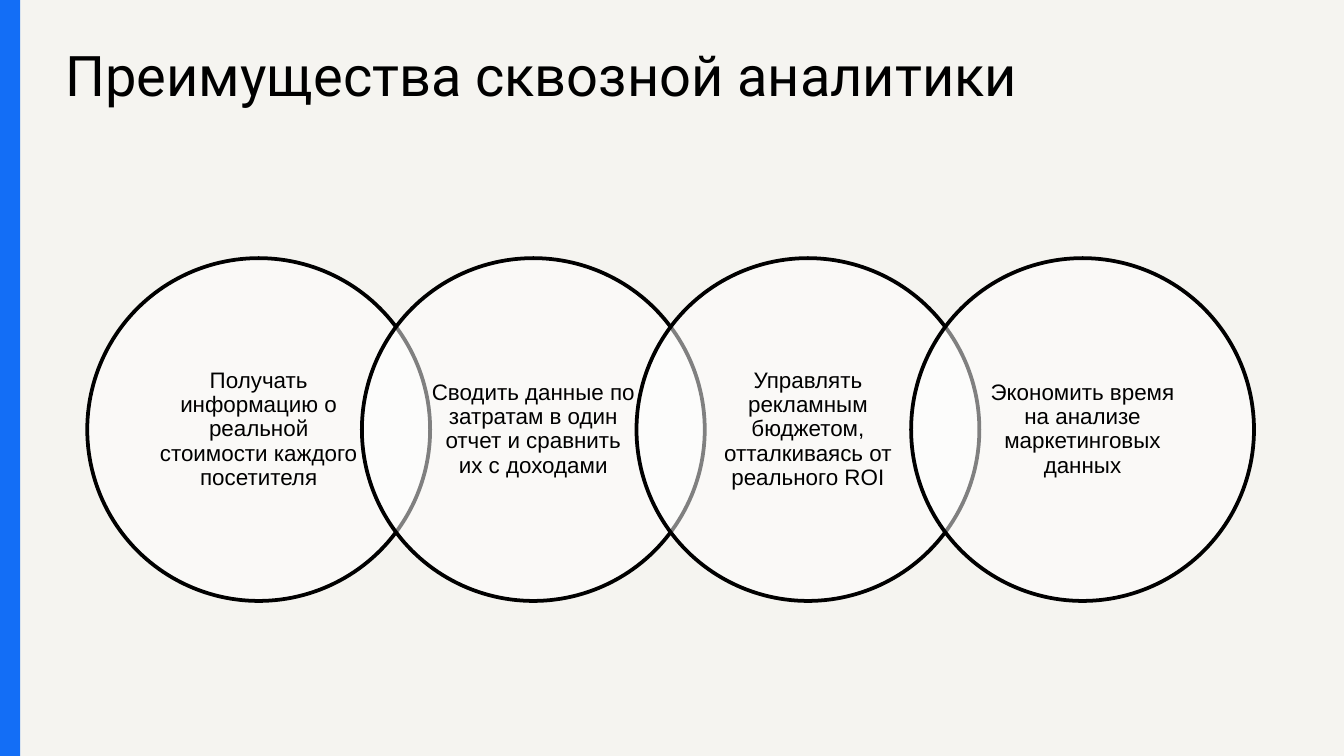
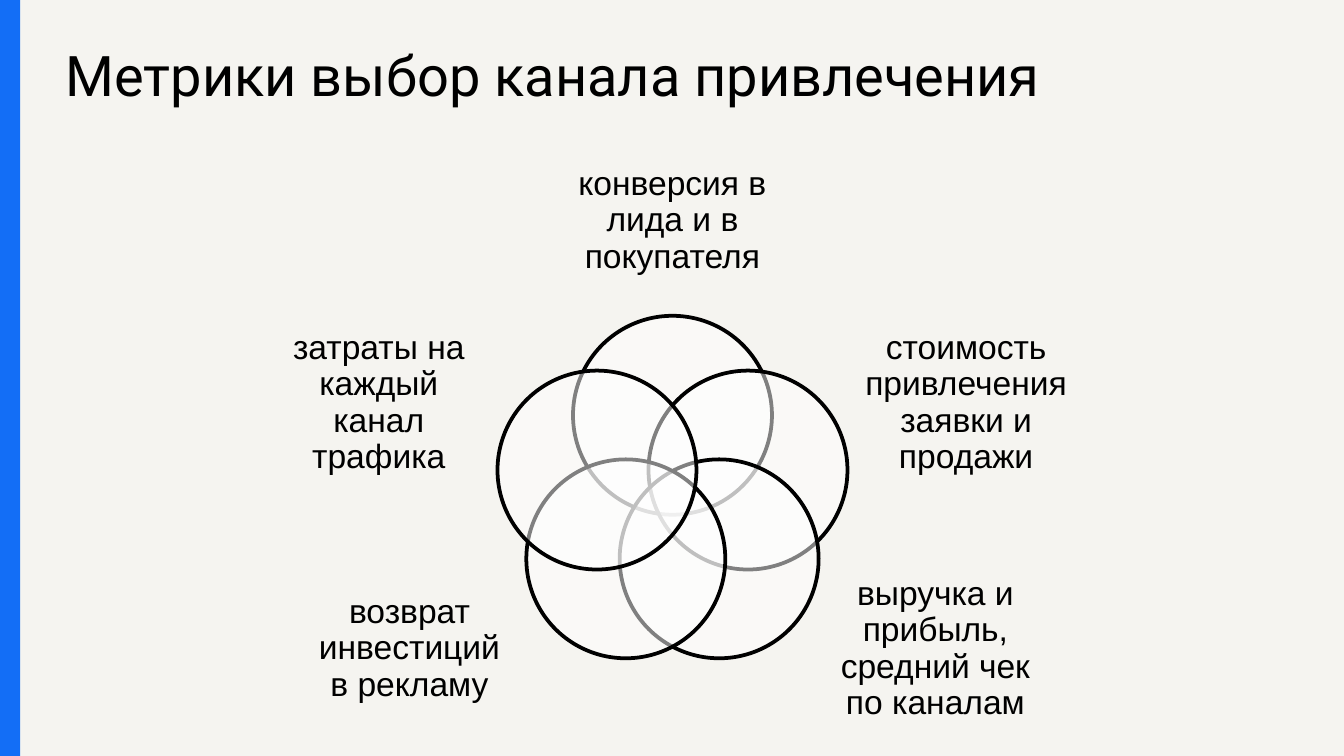
from math import cos, radians, sin

from lxml import etree
from pptx import Presentation
from pptx.dml.color import RGBColor
from pptx.enum.shapes import MSO_SHAPE
from pptx.enum.text import MSO_ANCHOR, MSO_AUTO_SIZE, PP_ALIGN
from pptx.oxml.ns import qn
from pptx.util import Cm, Pt

OVAL, RECTANGLE = MSO_SHAPE.OVAL, MSO_SHAPE.RECTANGLE
TOP, MIDDLE = MSO_ANCHOR.TOP, MSO_ANCHOR.MIDDLE
LEFT, CENTER = PP_ALIGN.LEFT, PP_ALIGN.CENTER
NO_AUTOFIT = MSO_AUTO_SIZE.NONE

PAPER = RGBColor(0xF5, 0xF4, 0xF0)
BLUE = RGBColor(0x13, 0x6E, 0xF6)
WHITE = RGBColor(0xFF, 0xFF, 0xFF)
BLACK = RGBColor(0x00, 0x00, 0x00)

BENEFITS = [
    "Получать информацию о реальной стоимости каждого посетителя",
    "Сводить данные по затратам в один отчет и сравнить их с доходами",
    "Управлять рекламным бюджетом, отталкиваясь от реального ROI",
    "Экономить время на анализе маркетинговых данных",
]

# Clockwise from the top: text, offset of its centre from the ring's, top, width, height
METRICS = [
    ("конверсия в лида и в покупателя", 0, 2.92, 4.37, 2.51),
    ("стоимость привлечения заявки и продажи", 5.55, 6.25, 3.91, 2.74),
    ("выручка и прибыль, средний чек по каналам", 4.97, 10.9, 3.91, 2.74),
    ("возврат инвестиций в рекламу", -4.97, 10.9, 3.91, 2.74),
    ("затраты на каждый канал трафика", -5.55, 6.25, 3.91, 2.74),
]


def write(frame, text, *, size, font="Arial", align=CENTER, anchor=MIDDLE,
          insets=(0, 0), spacing=0.9):
    """Fill a text frame; insets are horizontal and vertical, in centimetres."""
    frame.word_wrap = True
    frame.auto_size = NO_AUTOFIT
    frame.vertical_anchor = anchor
    frame.margin_left = frame.margin_right = Cm(insets[0])
    frame.margin_top = frame.margin_bottom = Cm(insets[1])
    para = frame.paragraphs[0]
    para.alignment = align
    para.line_spacing = spacing
    span = para.add_run()
    span.text = text
    span.font.name = font
    span.font.size = Pt(size)
    span.font.color.rgb = BLACK


class VennDeck:
    def __init__(self):
        self.deck = Presentation()
        self.deck.slide_width = Cm(25.4)
        self.deck.slide_height = Cm(14.29)
        self.page = None
        self.diagram = None

    def new_page(self, title, title_width):
        self.page = self.deck.slides.add_slide(self.deck.slide_layouts[0])
        background = self.page.background.fill
        background.solid()
        background.fore_color.rgb = PAPER
        subtitle = self.page.placeholders[1].element
        subtitle.getparent().remove(subtitle)
        self.title(title, title_width)
        self.side_band()
        self.diagram = self.page.shapes.add_group_shape()

    def title(self, text, width):
        box = self.page.shapes.title
        box.left, box.top = Cm(0.99), Cm(0.51)
        box.width, box.height = Cm(width), Cm(2.59)
        write(box.text_frame, text, size=30, font="Roboto", align=LEFT,
              anchor=TOP, insets=(0.25, 0.25), spacing=1.0)

    def side_band(self):
        band = self.page.shapes.add_shape(
            RECTANGLE, Cm(0), Cm(-0.03), Cm(0.38), Cm(14.35))
        band.shadow.inherit = False
        band.fill.solid()
        band.fill.fore_color.rgb = BLUE
        band.line.fill.background()

    def circle(self, center_x, center_y, diameter):
        """Add a half-transparent white circle with a black outline."""
        circle = self.diagram.shapes.add_shape(
            OVAL, Cm(center_x - diameter / 2), Cm(center_y - diameter / 2),
            Cm(diameter), Cm(diameter))
        circle.shadow.inherit = False
        circle.fill.solid()
        circle.fill.fore_color.rgb = WHITE
        color = circle.element.spPr.find(qn("a:solidFill"))[0]
        etree.SubElement(color, qn("a:alpha"), val="50000")
        circle.line.color.rgb = BLACK
        circle.line.width = Pt(2)

    def label(self, text, center_x, top, width, height, **text_format):
        box = self.diagram.shapes.add_textbox(
            Cm(center_x - width / 2), Cm(top), Cm(width), Cm(height))
        write(box.text_frame, text, **text_format)


def add_benefits(venn):
    venn.new_page("Преимущества сквозной аналитики", 19.86)
    first_x, center_y, step = 4.89, 8.12, 5.19
    diameter, label_side = 6.48, 4.6
    for index, benefit in enumerate(BENEFITS):
        center_x = first_x + index * step
        venn.circle(center_x, center_y, diameter)
        venn.label(benefit, center_x, center_y - label_side / 2,
                   label_side, label_side, size=12, insets=(0.36, 0.05))


def add_metrics(venn):
    venn.new_page("Метрики выбор канала привлечения", 21.67)
    ring_x, ring_y, ring_radius, diameter = 12.71, 9.35, 1.5, 3.76
    for index, (metric, offset, top, width, height) in enumerate(METRICS):
        angle = radians(index * 360 / len(METRICS))
        venn.circle(ring_x + ring_radius * sin(angle),
                    ring_y - ring_radius * cos(angle), diameter)
        venn.label(metric, ring_x + offset, top, width, height, size=18)


def main():
    venn = VennDeck()
    add_benefits(venn)
    add_metrics(venn)
    venn.deck.save("out.pptx")


if __name__ == "__main__":
    main()
